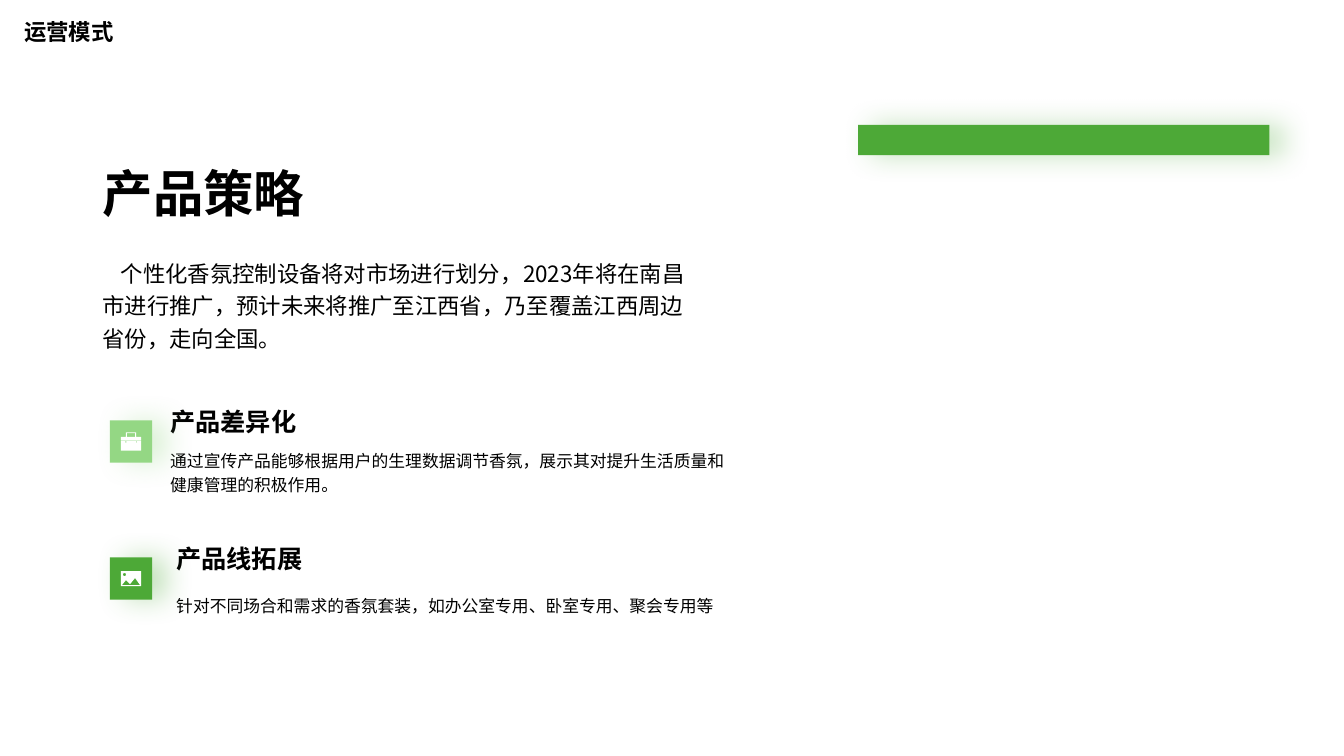
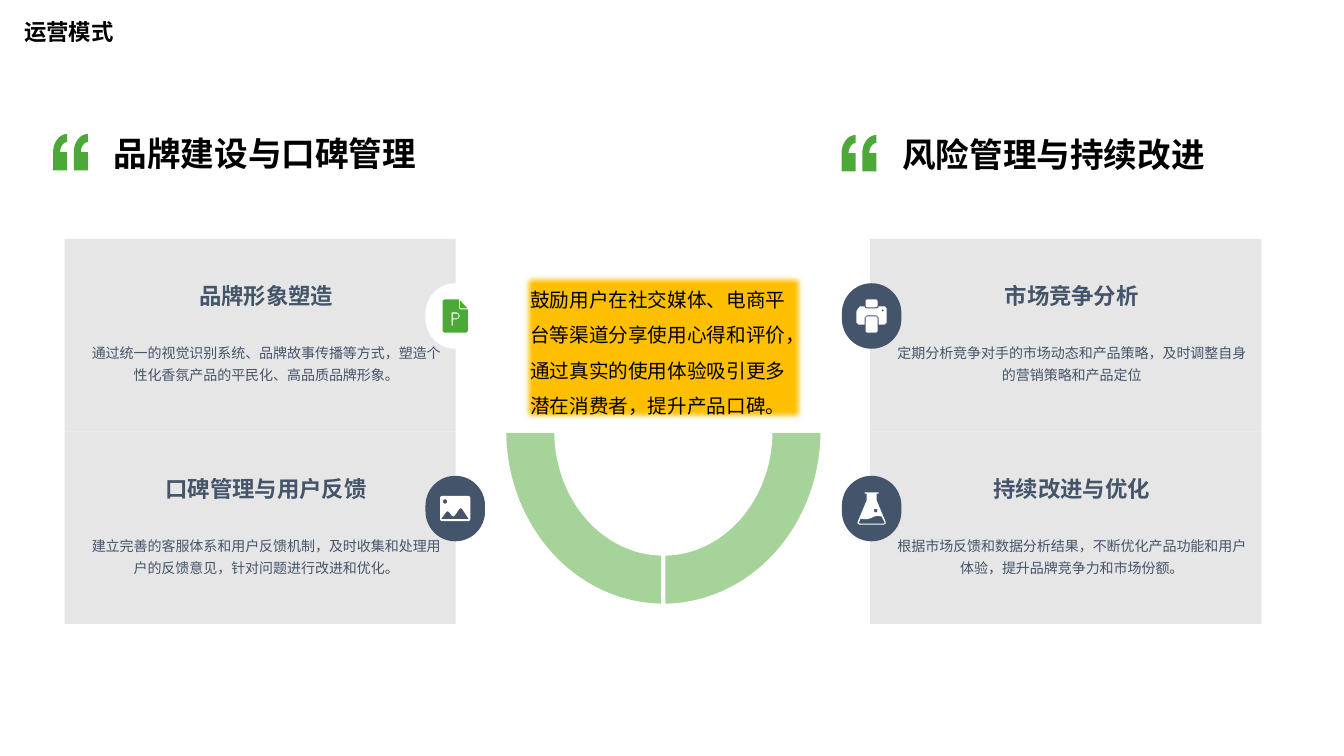
import math

import pptx
import pptx.dml.color
import pptx.enum.shapes
import pptx.enum.text
import pptx.oxml
import pptx.oxml.ns
import pptx.util
from pptx.util import Inches

RGBColor = pptx.dml.color.RGBColor
SHAPE = pptx.enum.shapes.MSO_SHAPE
ANCHOR = pptx.enum.text.MSO_ANCHOR
ALIGN = pptx.enum.text.PP_ALIGN
GREEN = RGBColor(0x4D, 0xA9, 0x37)
LIGHT_GREEN = RGBColor(0x94, 0xD7, 0x84)
SLATE = RGBColor(0x44, 0x54, 0x6A)
GREY = RGBColor(0xE7, 0xE6, 0xE6)
AMBER = RGBColor(0xFF, 0xC0, 0x00)
WHITE = RGBColor(0xFF, 0xFF, 0xFF)
BLACK = RGBColor(0x00, 0x00, 0x00)
FONT = "Noto Sans CJK SC"

PAGE_TITLE = {"size": 16, "bold": True}
MAIN_HEADING = {"size": 36, "bold": True}
FEATURE_HEADING = {"size": 18, "bold": True}
COLUMN_HEADING = {"size": 24, "bold": True}
CARD_HEADING = {"size": 16, "bold": True}
INTRO = {"size": 16, "bold": False}
FEATURE_BODY = {"size": 12, "bold": False}
CARD_BODY = {"size": 10, "bold": False}
CALLOUT = {"size": 14, "bold": False}


def arc(cx, cy, rx, ry, start, end, steps=16):
    """Return points along an elliptical arc, angles in degrees."""
    angles = [math.radians(start + (end - start) * i / steps) for i in range(steps + 1)]
    return [(cx + rx * math.cos(a), cy + ry * math.sin(a)) for a in angles]


def circle(cx, cy, radius):
    """Return the points of a circle."""
    return arc(cx, cy, radius, radius, 0, 360)


def block(left, top, width, height, radius=0):
    """Return the points of a rectangle with rounded corners."""
    right, bottom = left + width - radius, top + height - radius
    corners = [(right, bottom), (left + radius, bottom), (left + radius, top + radius), (right, top + radius)]
    return [point for i, (x, y) in enumerate(corners)
            for point in arc(x, y, radius, radius, 90 * i, 90 * i + 90, 4)]


def quote_mark(left):
    """Return the points of one opening quote mark."""
    return [(left, 36), *arc(left + 14, 18, 14, 18, 180, 270), *arc(left + 14, 18, 7, 10, 270, 180),
            (left + 14, 18), (left + 14, 36)]


QUOTES = (34.5, 36, [quote_mark(0), quote_mark(20.5)])
LANDSCAPE = (20, 15, [block(0, 0, 20, 15), [(14, 7), (9, 13), (5, 9), (1, 14), (19, 14)], circle(3.5, 3.5, 1.5)])
BRIEFCASE = (20, 18, [
    block(0, 8.7, 20, 9.3), block(4.5, 8.7, 0.8, 1.5), block(14.7, 8.7, 0.8, 1.5),
    [(5, 0), (15, 0), (15, 4.5), (20, 4.5), (20, 8.2), (0, 8.2), (0, 4.5), (5, 4.5)],
    block(5.8, 0.8, 8.4, 3.7)])
DOCUMENT = (25, 33, [
    [(2, 0), (16, 0), (16, 8), (16.5, 9.5), (18, 10), (25, 10), (25, 31.5), (23.5, 33), (1.5, 33), (0, 31.5), (0, 1.5)],
    [(9, 13), (14, 13), (16, 14), (17, 16.5), (16, 19), (14, 20), (10.2, 20), (10.2, 26), (9, 26)],
    [(10.2, 14.2), (14, 14.2), (15.3, 15), (15.8, 16.5), (15.3, 18), (14, 18.8), (10.2, 18.8)],
    [(17.3, 1), (24.5, 9), (18, 9), (17.3, 8.3)]])
PHOTO = (30, 25, [
    block(0, 0, 30, 25, 2), circle(5, 5.5, 2.2),
    [(1, 23), (6, 16), (7.5, 15.2), (9, 16), (12, 20), (13.5, 20.2), (15, 19), (19, 13), (20.5, 12), (22, 13), (28.5, 23)]])
PRINTER = (30, 33, [
    block(9, 17, 12, 16, 2), block(9, 0, 12, 8, 2), circle(26, 11, 1),
    [(3.5, 7), (8, 7), (8.5, 8.5), (10, 9), (20, 9), (21.5, 8.5), (22, 7), (28, 7), (30, 9), (30, 23), (28, 25),
     (22, 25), (22, 18), (20, 16), (10, 16), (8, 18), (8, 25), (2, 25), (0, 23), (0, 12), (1, 10)]])
FLASK = (28, 32, [
    [(7, 0), (21, 0), (21, 1.2), (19, 1.2), (19, 8), (28, 29.5), (27.7, 31), (26, 32), (2, 32), (0.3, 31),
     (0, 29.5), (9, 8), (9, 1.2), (7, 1.2)],
    [(3, 26), (6, 26.6), (10, 26.5), (14, 25.2), (17, 23.8), (20, 23.2), (24, 24), (27, 30), (26, 31), (2, 31), (1.4, 30)],
    circle(18, 18, 1.8)])


def set_format(target, values):
    """Set attributes from a dict of format values."""
    for attribute, value in values.items():
        setattr(target, attribute, value)


def write_text(frame, text, style, color=BLACK, inset=None, wrap=True, anchor=ANCHOR.TOP, **layout):
    """Write one formatted paragraph into a text frame."""
    set_format(frame, {"word_wrap": wrap, "vertical_anchor": anchor,
                       "auto_size": pptx.enum.text.MSO_AUTO_SIZE.SHAPE_TO_FIT_TEXT})
    if inset is not None:
        set_format(frame, {f"margin_{side}": inset for side in ("left", "top", "right", "bottom")})
    paragraph = frame.paragraphs[0]
    set_format(paragraph, {"alignment": ALIGN.LEFT, **layout})
    run = paragraph.add_run()
    run.text = text
    set_format(run.font, {"name": FONT, "bold": style["bold"], "size": pptx.util.Pt(style["size"])})
    run.font.color.rgb = color
    east_asian = pptx.oxml.parse_xml(f'<a:ea {pptx.oxml.ns.nsdecls("a")} typeface="{FONT}"/>')
    run._r.get_or_add_rPr().append(east_asian)
    return paragraph


def add_text(slide, box, text, style, **options):
    """Add a text box at the given box in inches."""
    return write_text(slide.shapes.add_textbox(*map(Inches, box)).text_frame, text, style, **options)


def paint(shape, color):
    """Give a shape a plain fill with no line or shadow."""
    shape.shadow.inherit = False
    shape.fill.solid()
    shape.fill.fore_color.rgb = color
    shape.line.fill.background()


def add_block(slide, preset, box, color):
    """Add a plain filled preset shape."""
    shape = slide.shapes.add_shape(preset, *map(Inches, box))
    paint(shape, color)
    return shape


def add_effect(shape, xml):
    """Put an effect into the shape's effect list."""
    effects = shape._element.spPr.find(pptx.oxml.ns.qn("a:effectLst"))
    effects.append(pptx.oxml.parse_xml(xml))


def add_glowing_block(slide, box, color):
    """Add a rectangle with a soft shadow in its own colour."""
    add_effect(add_block(slide, SHAPE.RECTANGLE, box, color),
               f'<a:outerShdw {pptx.oxml.ns.nsdecls("a")} blurRad="254000" dist="127000" dir="0" algn="l" '
               f'rotWithShape="0"><a:srgbClr val="{color}"><a:alpha val="32000"/></a:srgbClr></a:outerShdw>')


def add_icon(slide, center, icon, color):
    """Draw an icon, given in hundredths of an inch, around a centre."""
    width, height, contours = icon
    scaled = [[(x * 10, y * 10) for x, y in contour] for contour in contours]
    builder = slide.shapes.build_freeform(*scaled[0][0], scale=Inches(1) / 1000)
    builder.add_line_segments(scaled[0][1:], close=True)
    for contour in scaled[1:]:
        builder.move_to(*contour[0])
        builder.add_line_segments(contour[1:], close=True)
    x, y = center
    paint(builder.convert_to_shape(Inches(x - width / 200), Inches(y - height / 200)), color)


def add_page(deck, title):
    """Add a slide with the shared title style."""
    slide = deck.slides.add_slide(deck.slide_layouts[5])
    heading = slide.shapes.title
    set_format(heading, dict(zip(("left", "top", "width", "height"), map(Inches, (0.14, 0.13, 1.09, 0.37)))))
    write_text(heading.text_frame, title, PAGE_TITLE, wrap=False)
    return slide


def add_feature(slide, left, top, icon, color, heading, body, text_left, body_top):
    """Add an icon tile with a heading and a description."""
    tile = 0.42
    add_text(slide, (left + text_left, top, 5.23, 0.4), heading, FEATURE_HEADING, anchor=ANCHOR.MIDDLE)
    add_text(slide, (left + text_left, top + body_top, 5.7, 0.34), body, FEATURE_BODY, line_spacing=1.2)
    add_glowing_block(slide, (left, top + 0.19, tile, tile), color)
    add_icon(slide, (left + tile / 2, top + 0.19 + tile / 2), icon, WHITE)


def add_column_heading(slide, left, top, text):
    """Add a heading with quote marks before it."""
    add_text(slide, (left + 0.5, top, 3.96, 0.5), text, COLUMN_HEADING, anchor=ANCHOR.BOTTOM)
    add_icon(slide, (left + 0.17, top + 0.24), QUOTES, GREEN)


def add_card(slide, box, heading, body, icon, badge_left, badge_color, icon_color):
    """Add a grey card with centred text and a round badge."""
    left, top, width, _ = box
    add_block(slide, SHAPE.RECTANGLE, box, GREY)
    shared = {"color": SLATE, "inset": Inches(0.12), "alignment": ALIGN.CENTER}
    add_text(slide, (left + 0.12, top + 0.31, width - 0.12, 0.5), heading, CARD_HEADING, **shared)
    add_text(slide, (left + 0.12, top + 0.88, width - 0.12, 0.67), body, CARD_BODY, line_spacing=1.3, **shared)
    badge_x, badge_y = left + badge_left, top + 0.44
    badge = add_block(slide, SHAPE.ROUNDED_RECTANGLE, (badge_x, badge_y, 0.59, 0.65), badge_color)
    badge.adjustments[0] = 0.5
    add_icon(slide, (badge_x + 0.295, badge_y + 0.325), icon, icon_color)


def add_half_ring(slide, box):
    """Add the two translucent quarters of the lower ring."""
    for flips in (("flipH", "flipV"), ("flipV",)):
        quarter = add_block(slide, SHAPE.BLOCK_ARC, box, GREEN)
        for index, value in enumerate((162, 0, 0.164)):
            quarter.adjustments[index] = value
        properties = quarter._element.spPr
        for flip in flips:
            properties.find(pptx.oxml.ns.qn("a:xfrm")).set(flip, "1")
        fill_color = properties.find(pptx.oxml.ns.qn("a:solidFill"))[0]
        fill_color.append(pptx.oxml.parse_xml(f'<a:alpha {pptx.oxml.ns.nsdecls("a")} val="50000"/>'))
        quarter.line.color.rgb = WHITE
        quarter.line.width = pptx.util.Pt(3)


def add_callout(slide, box, text):
    """Add the soft-edged amber note."""
    note = add_block(slide, SHAPE.RECTANGLE, box, AMBER)
    add_effect(note, f'<a:softEdge {pptx.oxml.ns.nsdecls("a")} rad="63500"/>')
    write_text(note.text_frame, text, CALLOUT, line_spacing=1.5)


def build_product_slide(deck):
    """Build the product strategy slide."""
    slide = add_page(deck, "运营模式")
    add_glowing_block(slide, (8.51, 1.24, 4.08, 0.3), GREEN)
    add_text(slide, (0.92, 1.55, 6.89, 0.71), "产品策略", MAIN_HEADING, anchor=ANCHOR.MIDDLE)
    intro = add_text(slide, (0.92, 2.48, 6.07, 1.07),
                     "个性化香氛控制设备将对市场进行划分，2023年将在南昌市进行推广，"
                     "预计未来将推广至江西省，乃至覆盖江西周边省份，走向全国。", INTRO, line_spacing=1.2)
    intro._p.get_or_add_pPr().set("indent", str(Inches(0.18)))
    add_feature(slide, 1.09, 3.98, BRIEFCASE, LIGHT_GREEN, "产品差异化",
                "通过宣传产品能够根据用户的生理数据调节香氛，展示其对提升生活质量和健康管理的积极作用。", 0.5, 0.4)
    add_feature(slide, 1.09, 5.34, LANDSCAPE, GREEN, "产品线拓展",
                "针对不同场合和需求的香氛套装，如办公室专用、卧室专用、聚会专用等", 0.56, 0.48)


def build_brand_slide(deck):
    """Build the brand and risk management slide."""
    slide = add_page(deck, "运营模式")
    add_half_ring(slide, (5, 2.54, 3.16, 3.47))
    columns = [
        (0.64, 3.58, [
            ("品牌形象塑造", "通过统一的视觉识别系统、品牌故事传播等方式，塑造个性化香氛产品的平民化、高品质品牌形象。",
             DOCUMENT, WHITE, GREEN),
            ("口碑管理与用户反馈", "建立完善的客服体系和用户反馈机制，及时收集和处理用户的反馈意见，针对问题进行改进和优化。",
             PHOTO, SLATE, WHITE)]),
        (8.63, -0.28, [
            ("市场竞争分析", "定期分析竞争对手的市场动态和产品策略，及时调整自身的营销策略和产品定位",
             PRINTER, SLATE, WHITE),
            ("持续改进与优化", "根据市场反馈和数据分析结果，不断优化产品功能和用户体验，提升品牌竞争力和市场份额。",
             FLASK, SLATE, WHITE)])]
    card_height = 1.91
    for left, badge_left, cards in columns:
        for row, (heading, body, icon, badge_color, icon_color) in enumerate(cards):
            add_card(slide, (left, 2.37 + row * card_height, 3.88, card_height), heading, body, icon,
                     badge_left, badge_color, icon_color)
    add_callout(slide, (5.16, 2.69, 2.84, 1.51),
                "鼓励用户在社交媒体、电商平台等渠道分享使用心得和评价，通过真实的使用体验吸引更多潜在消费者，提升产品口碑。")
    add_column_heading(slide, 0.53, 1.27, "品牌建设与口碑管理")
    add_column_heading(slide, 8.35, 1.28, "风险管理与持续改进")


def main():
    """Build and save the deck."""
    deck = pptx.Presentation()
    set_format(deck, {"slide_width": Inches(13.33), "slide_height": Inches(7.5)})
    build_product_slide(deck)
    build_brand_slide(deck)
    deck.save("out.pptx")


if __name__ == "__main__":
    main()
